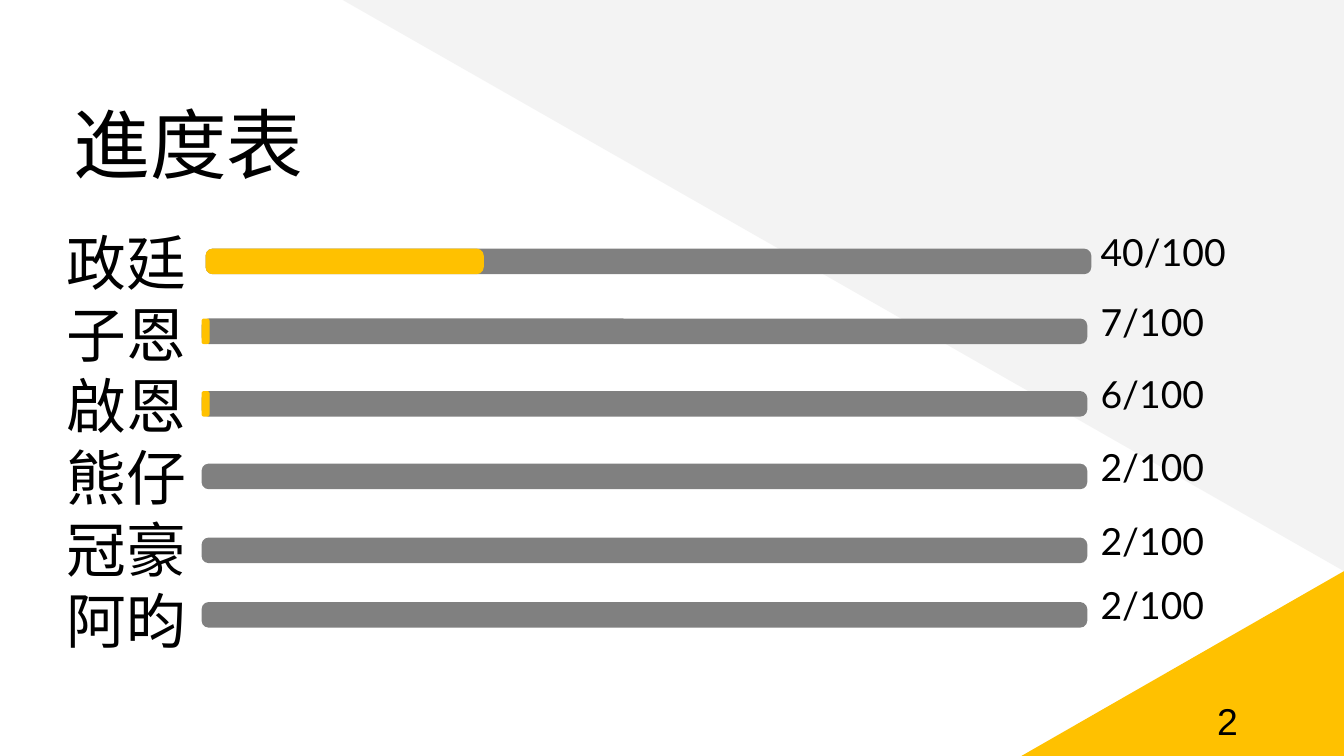
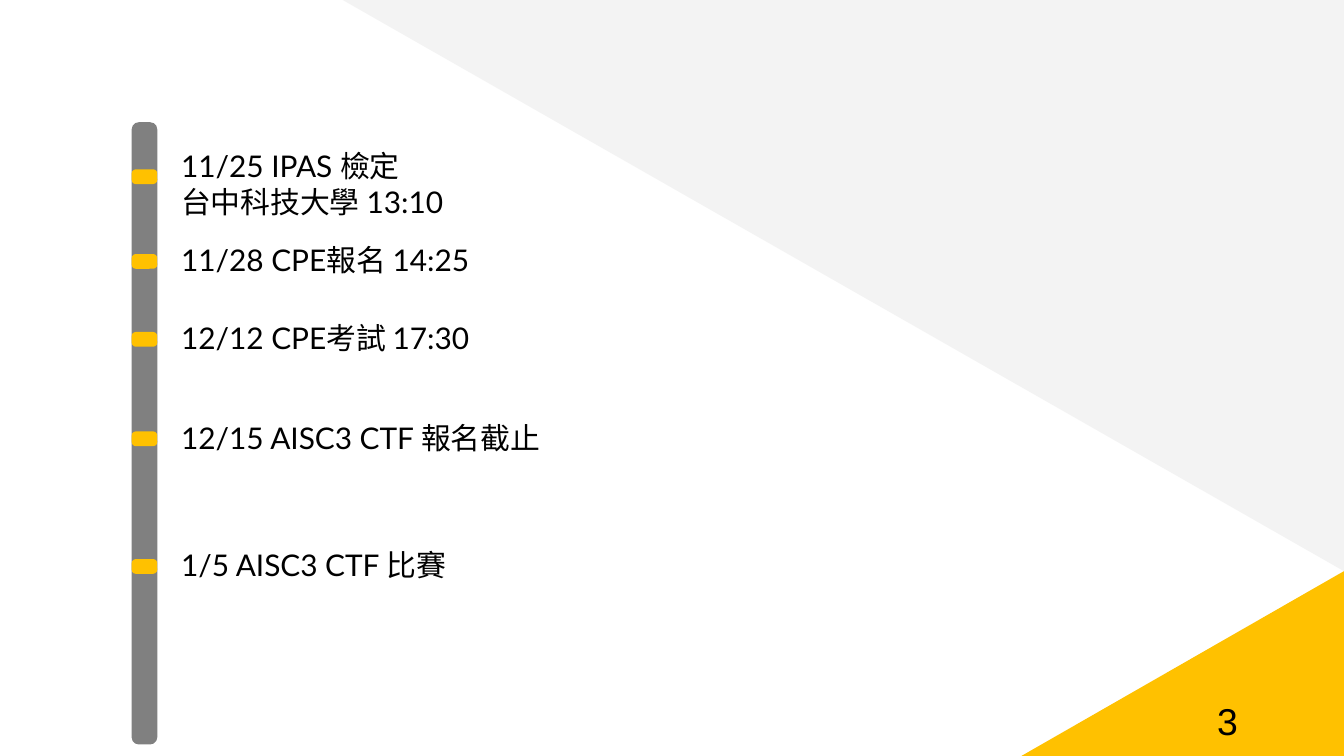
from collections import namedtuple
from dataclasses import dataclass

import pptx
import pptx.dml.color
import pptx.enum.shapes
import pptx.enum.text
import pptx.util

SHAPE = pptx.enum.shapes.MSO_SHAPE
ALIGN = pptx.enum.text.PP_ALIGN
ANCHOR = pptx.enum.text.MSO_ANCHOR
Box = namedtuple("Box", "x y w h")


@dataclass(frozen=True)
class Theme:
    accent: str = "FFC100"
    track: str = "808080"
    pale: str = "F3F3F3"
    ink: str = "000000"
    font: str = "Lato"
    number_font: str = "Arial"
    title: int = 41
    name: int = 32
    score: int = 20
    event: int = 16
    number: int = 20
    score_leading: int = 10
    corner: float = 0.277


THEME = Theme()

# Square grid cells: 100 columns across, 56.25 rows down
WIDTH, HEIGHT = pptx.util.Inches(10), pptx.util.Inches(5.625)
COLS, ROWS = 100, 56.25
CELL = WIDTH / COLS
THICK = 1.9  # thickness of every progress and timeline bar

# Name, row of the bar, column shift, filled length, score
PROGRESS = [
    ("政廷", 2.7, 0.3, 20.7, "40/100"),
    ("子恩", 7.9, 0, 0.6, "7/100"),
    ("啟恩", 13.3, 0, 0.6, "6/100"),
    ("熊仔", 18.7, 0, 0, "2/100"),
    ("冠豪", 24.2, 0, 0, "2/100"),
    ("阿昀", 29, 0, 0, "2/100"),
]

# Row of the marker, rise of the text above it, lines
EVENTS = [
    (3.5, 2.6, ["11/25 IPAS 檢定", "台中科技大學 13:10"]),
    (9.8, 1.9, ["11/28 CPE報名 14:25"]),
    (15.6, 1.9, ["12/12 CPE考試 17:30"]),
    (23, 1.9, ["12/15 AISC3 CTF 報名截止"]),
    (32.5, 1.9, ["1/5 AISC3 CTF 比賽"]),
]


def emu(box):
    return [round(v * CELL) for v in box]


def add_block(s, kind, box, color):
    sp = s.shapes.add_shape(kind, *emu(box))
    sp.shadow.inherit = False
    sp.fill.solid()
    sp.fill.fore_color.rgb = pptx.dml.color.RGBColor.from_string(color)
    sp.line.fill.background()
    return sp


def add_bar(s, box, color):
    add_block(s, SHAPE.ROUNDED_RECTANGLE, box, color).adjustments[0] = THEME.corner


def write(tf, lines, size, font=THEME.font, align=ALIGN.LEFT,
          anchor=ANCHOR.TOP, leading=None):
    tf.word_wrap = True
    tf.auto_size = pptx.enum.text.MSO_AUTO_SIZE.NONE
    tf.vertical_anchor = anchor
    tf.margin_left = tf.margin_right = round(CELL)
    tf.margin_top = tf.margin_bottom = round(CELL)
    for i, line in enumerate(lines):
        p = tf.add_paragraph() if i else tf.paragraphs[0]
        p.alignment = align
        if leading:
            p.line_spacing = pptx.util.Pt(leading)
        r = p.add_run()
        r.text = line
        r.font.size = pptx.util.Pt(size)
        r.font.name = font
        r.font.color.rgb = pptx.dml.color.RGBColor.from_string(THEME.ink)


def add_text(s, box, lines, size, **style):
    write(s.shapes.add_textbox(*emu(box)).text_frame, lines, size, **style)


def add_slide(prs, layout, number):
    """Slide with the corner triangles and its number."""
    s = prs.slides.add_slide(prs.slide_layouts[layout])
    split = 42.5  # row where the two triangles meet
    add_block(s, SHAPE.RIGHT_TRIANGLE,
              Box(25.5, 0, COLS - 25.5, split), THEME.pale).rotation = 180
    corner = add_block(s, SHAPE.RIGHT_TRIANGLE,
                       Box(76, split, COLS - 76, ROWS - split), THEME.accent)
    corner.element.spPr.get_or_add_xfrm().set("flipH", "1")
    add_text(s, Box(70.6, 52.1, 22.5, 3), [str(number)], THEME.number,
             font=THEME.number_font, align=ALIGN.RIGHT, anchor=ANCHOR.MIDDLE)
    return s


def set_title(s, box, text):
    title = s.shapes.title
    title.left, title.top, title.width, title.height = emu(box)
    write(title.text_frame, [text], THEME.title)


def progress_list(s, box):
    """Names in one column, then a bar and a score for each."""
    add_text(s, box, [row[0] for row in PROGRESS], THEME.name)
    for _, row, shift, done, score in PROGRESS:
        x, y = box.x + 11 + shift, box.y + row
        add_bar(s, Box(x, y, 65.9, THICK), THEME.track)
        if done:
            add_bar(s, Box(x, y, done, THICK), THEME.accent)
        add_text(s, Box(box.x + 76.9, y - 0.5, 16.8, 3), [score],
                 THEME.score, leading=THEME.score_leading)


def timeline(s, box):
    """Upright bar with a marker and a text for each event."""
    add_bar(s, Box(box.x, box.y, THICK, box.h), THEME.track)
    for row, rise, lines in EVENTS:
        y = box.y + row
        add_bar(s, Box(box.x, y, THICK, 1.1), THEME.accent)
        add_text(s, Box(box.x + 2.7, y - rise, box.w - 2.7, 0.5 + 2.9 * len(lines)),
                 lines, THEME.event)


def main():
    prs = pptx.Presentation()
    prs.slide_width, prs.slide_height = WIDTH, HEIGHT

    # Progress
    s = add_slide(prs, 5, 2)
    set_title(s, Box(4.5, 6.2, 88.6, 6.3), "進度表")
    progress_list(s, Box(4, 15.8, 88.6, 6.3))

    # Dates
    s = add_slide(prs, 6, 3)
    timeline(s, Box(9.8, 9.1, 38, 46.3))

    prs.save("out.pptx")


if __name__ == "__main__":
    main()
